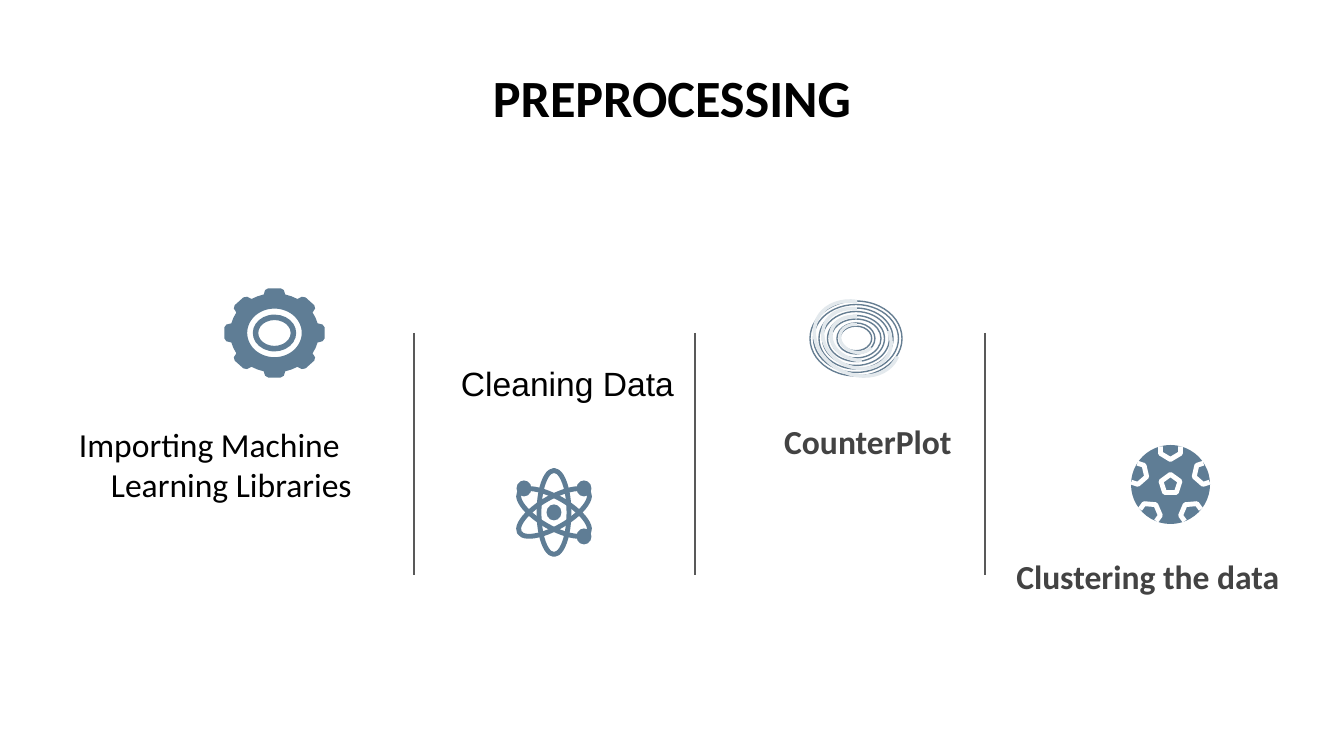
from math import cos, pi, sin, radians

from lxml import etree
from pptx import Presentation
from pptx.dml.color import RGBColor
from pptx.enum.shapes import MSO_CONNECTOR, MSO_SHAPE
from pptx.enum.text import MSO_ANCHOR, PP_ALIGN
from pptx.oxml.ns import qn
from pptx.util import Pt

PX = 914400 / 134.4
BLACK = RGBColor(0x00, 0x00, 0x00)
WHITE = RGBColor(0xFF, 0xFF, 0xFF)
DARK = RGBColor(0x43, 0x43, 0x43)
GRAY = RGBColor(0x59, 0x59, 0x59)
BLUE = RGBColor(0x5F, 0x7D, 0x95)
RING = RGBColor(0x66, 0x7E, 0x92)
PALE = RGBColor(0xE3, 0xE9, 0xED)
OVAL, DONUT, ARC = MSO_SHAPE.OVAL, MSO_SHAPE.DONUT, MSO_SHAPE.BLOCK_ARC
TOP, BOTTOM = MSO_ANCHOR.TOP, MSO_ANCHOR.BOTTOM
LEFT, CENTER = PP_ALIGN.LEFT, PP_ALIGN.CENTER


def px(n):
    return round(n * PX)


def paint(sp, fill=None, line=None, width=0.75):
    sp.shadow.inherit = False
    if fill is None:
        sp.fill.background()
    else:
        sp.fill.solid()
        sp.fill.fore_color.rgb = fill
    if line is None:
        sp.line.fill.background()
    else:
        sp.line.color.rgb = line
        sp.line.width = Pt(width)
    return sp


def centered(s, kind, cx, cy, w, h, **style):
    sp = s.shapes.add_shape(kind, px(cx - w / 2), px(cy - h / 2), px(w), px(h))
    return paint(sp, **style)


def outline(s, contours, close=True, **style):
    fb = None
    for points in contours:
        points = [(px(x), px(y)) for x, y in points]
        if fb is None:
            fb = s.shapes.build_freeform(*points[0])
        else:
            fb.move_to(*points[0])
        fb.add_line_segments(points[1:], close=close)
    return paint(fb.convert_to_shape(), **style)


def polar(cx, cy, rx, ry, degrees):
    a = radians(degrees)
    return cx + rx * cos(a), cy + ry * sin(a)


def label(s, box, text, size=18, font="Calibri", color=BLACK, bold=False,
          align=CENTER, anchor=TOP, wrap=True, margin=13):
    tb = s.shapes.add_textbox(*map(px, box))
    tf = tb.text_frame
    tf.word_wrap = wrap
    tf.vertical_anchor = anchor
    tf.margin_left = tf.margin_right = px(13)
    tf.margin_top = tf.margin_bottom = px(margin)
    p = tf.paragraphs[0]
    p.text = text
    p.alignment = align
    p.font.name, p.font.size, p.font.bold = font, Pt(size), bold
    p.font.color.rgb = color
    return p


def divider(s, x, top, bottom):
    c = s.shapes.add_connector(MSO_CONNECTOR.STRAIGHT, px(x), px(top), px(x), px(bottom))
    c.line.color.rgb = GRAY
    c.line.width = Pt(0.75)
    etree.SubElement(c._element.spPr, qn("a:effectLst"))


def gear(s, x, y, w, h):
    cx, cy, rx, ry = x + w / 2, y + h / 2, w / 2, h / 2
    tooth = [(-14, 0.88), (-11, 0.97), (-7, 1), (7, 1), (11, 0.97), (14, 0.88), (22.5, 0.88)]
    rim = [polar(cx, cy, rx * r, ry * r, 45 * k + a) for k in range(8) for a, r in tooth]
    hole = [polar(cx, cy, rx * 0.54, ry * 0.54, -a) for a in range(0, 360, 6)]
    outline(s, [rim, hole], fill=BLUE)
    ring = centered(s, DONUT, cx, cy, w * 0.43, h * 0.41, fill=BLUE)
    ring.adjustments[0] = 0.15


def atom(s, x, y, w, h):
    cx, cy = x + w / 2, y + h / 2
    for angle, length in ((0, h - 5), (60, h - 9), (-60, h - 9)):
        centered(s, OVAL, cx, cy, 30, length, line=BLUE, width=2.6).rotation = angle
    for dx, dy in ((0, 0), (-30, -24), (30, -24), (30, 24)):
        centered(s, OVAL, cx + dx, cy + dy, 15, 16, fill=BLUE)


def spiral(s, x, y, w, h):
    cx, cy = x + w / 2, y + h / 2
    rings = [(92, 75, 0.047), (74, 61, 0.058), (57, 46, 0.076), (38, 31, 0.102)]
    for rw, rh, thickness in rings:
        centered(s, DONUT, cx, cy, rw, rh, line=RING).adjustments[0] = thickness
    arcs = [(75, 92, 296.5, 52.664, 199.957, 0.047),
            (61, 74, 294.9, 30.858, 201.008, 0.056),
            (46, 57, 289.6, 88.844, 204.149, 0.077),
            (31, 38, 284.4, 64.903, 207.006, 0.102)]
    for aw, ah, angle, *adjust in arcs:
        sp = centered(s, ARC, cx + 1, cy, aw, ah, fill=PALE)
        sp.rotation = angle
        for i, value in enumerate(adjust):
            sp.adjustments[i] = value


def ball(s, x, y, w, h):
    cx, cy = x + w / 2, y + h / 2
    centered(s, OVAL, cx, cy, w, h, fill=BLUE)
    pentagon = [polar(cx, cy, 10, 10, 72 * k - 90) for k in range(5)]
    outline(s, [pentagon], line=WHITE, width=2.6)
    seam = [(-10, -38), (-10, -31), (0, -25), (10, -31), (10, -38)]
    for k in range(5):
        c, d = cos(2 * pi * k / 5), sin(2 * pi * k / 5)
        points = [(cx + u * c - v * d, cy + u * d + v * c) for u, v in seam]
        outline(s, [points], close=False, line=WHITE, width=2.6)


def main():
    prs = Presentation()
    prs.slide_width, prs.slide_height = px(1344), px(756)
    s = prs.slides.add_slide(prs.slide_layouts[6])

    label(s, (289, 52, 766, 138), "PREPROCESSING", size=28, bold=True)
    label(s, (952, 546, 392, 63), "Clustering the data", color=DARK, bold=True, anchor=BOTTOM)
    p = label(s, (0, 411, 396, 148), "Importing Machine Learning Libraries")
    pPr = p._p.get_or_add_pPr()
    pPr.set("marL", str(px(67)))
    pPr.set("indent", str(px(-44)))
    label(s, (672, 411, 392, 63), "CounterPlot", color=DARK, bold=True, anchor=BOTTOM)
    label(s, (448, 356, 242, 54), "Cleaning Data", font="Arial", align=LEFT, wrap=False, margin=7)

    for x in (414, 695, 985):
        divider(s, x, 333, 575)

    atom(s, 515, 468, 78, 89)
    ball(s, 1131, 445, 79, 79)
    spiral(s, 810, 293, 92, 91)
    gear(s, 224, 288, 101, 90)
    prs.save("out.pptx")


if __name__ == "__main__":
    main()
